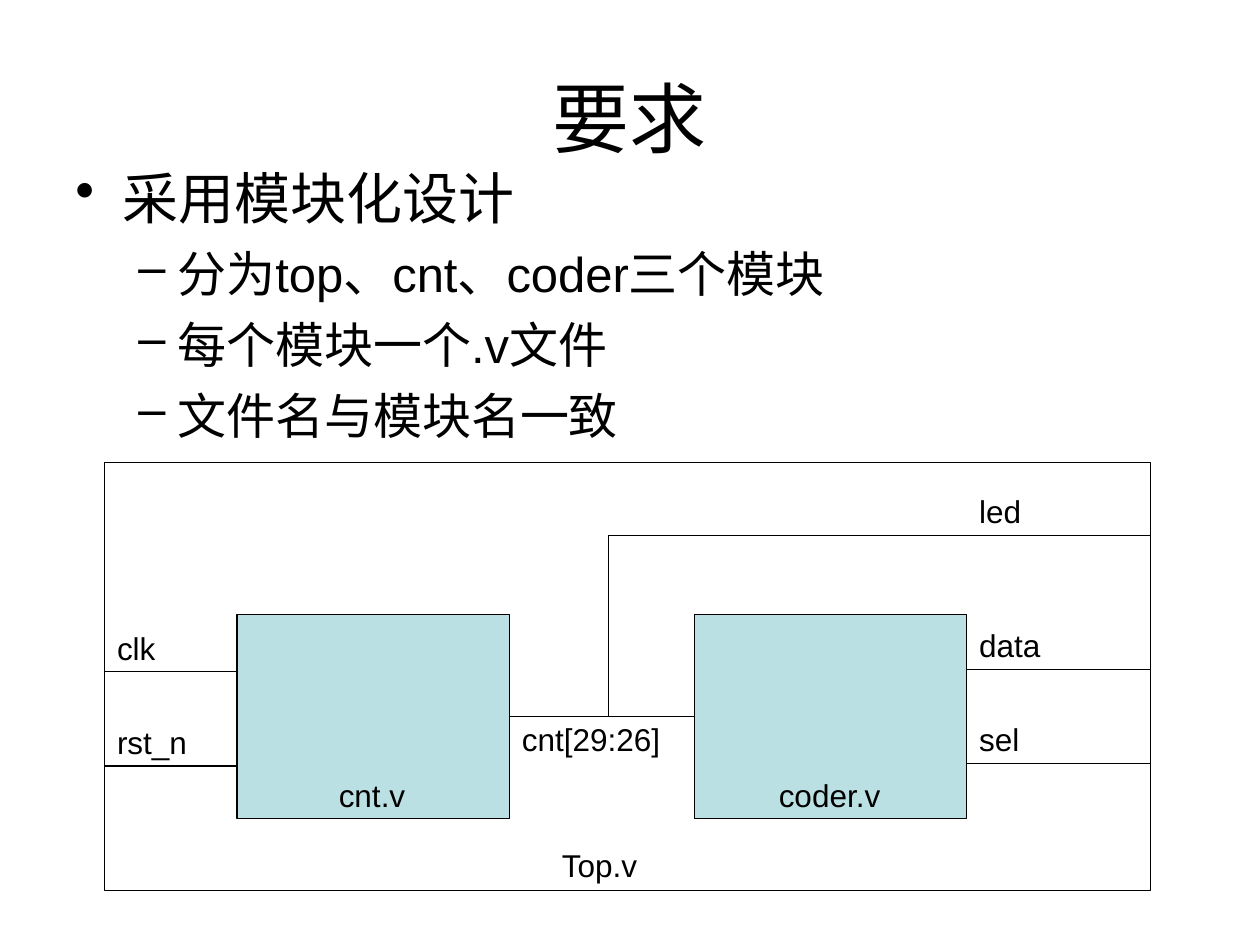
from lxml import etree
from pptx import Presentation
from pptx.dml.color import RGBColor
from pptx.enum.shapes import MSO_CONNECTOR, MSO_SHAPE
from pptx.enum.text import MSO_ANCHOR, PP_ALIGN
from pptx.oxml.ns import qn
from pptx.util import Cm, Pt

RECT = MSO_SHAPE.RECTANGLE
STRAIGHT = MSO_CONNECTOR.STRAIGHT
MIDDLE = MSO_ANCHOR.MIDDLE
LEFT, CENTER = PP_ALIGN.LEFT, PP_ALIGN.CENTER

BLACK = RGBColor(0x00, 0x00, 0x00)
PALE_TEAL = RGBColor(0xBB, 0xE0, 0xE3)

# Format of each outline level: bullet, margin and hanging indent in cm
LEVELS = [
    {"bullet": "•", "margin": 0.95, "hang": 0.95, "size": 32, "before": 8},
    {"bullet": "–", "margin": 2.06, "hang": 0.79, "size": 28, "before": 7},
]
OUTLINE = [
    (0, "采用模块化设计"),
    (1, "分为top、cnt、coder三个模块"),
    (1, "每个模块一个.v文件"),
    (1, "文件名与模块名一致"),
]


def add_text_frame(s, x, y, w, h, wrap=True):
    tf = s.shapes.add_textbox(Cm(x), Cm(y), Cm(w), Cm(h)).text_frame
    tf.word_wrap = wrap
    return tf


def write(p, text, size, align=LEFT):
    p.alignment = align
    r = p.add_run()
    r.text = text
    for name, value in {"name": "Arial", "size": Pt(size)}.items():
        setattr(r.font, name, value)
    r.font.color.rgb = BLACK


def add_label(s, x, y, w, text, wrap=True):
    tf = add_text_frame(s, x, y, w, 1.02, wrap)
    write(tf.paragraphs[0], text, 18)


def add_box(s, x, y, w, h, fill=None):
    sp = s.shapes.add_shape(RECT, Cm(x), Cm(y), Cm(w), Cm(h))
    sp.shadow.inherit = False
    if fill is None:
        sp.fill.background()
    else:
        sp.fill.solid()
        sp.fill.fore_color.rgb = fill
    sp.line.color.rgb = BLACK
    sp.line.width = Pt(0.75)


def add_wire(s, x1, y1, x2, y2):
    wire = s.shapes.add_connector(STRAIGHT, Cm(x1), Cm(y1), Cm(x2), Cm(y2))
    wire.line.color.rgb = BLACK
    wire.line.width = Pt(0.75)
    etree.SubElement(wire._element.spPr, qn("a:effectLst"))


def add_title(s, x, y, w, h):
    tf = add_text_frame(s, x, y, w, h)
    tf.vertical_anchor = MIDDLE
    write(tf.paragraphs[0], "要求", 44, CENTER)


def add_outline(s, x, y, w, h):
    tf = add_text_frame(s, x, y, w, h)
    for i, (level, text) in enumerate(OUTLINE):
        fmt = LEVELS[level]
        p = tf.add_paragraph() if i else tf.paragraphs[0]
        p.level = level
        pPr = p._p.get_or_add_pPr()
        pPr.set("marL", str(Cm(fmt["margin"])))
        pPr.set("indent", str(-Cm(fmt["hang"])))
        etree.SubElement(pPr, qn("a:buChar"), char=fmt["bullet"])
        if i:
            p.space_before = Pt(fmt["before"])
        write(p, text, fmt["size"])


def add_block_diagram(s, x, y, w, h):
    mod_w, mod_h, mod_y = 5.49, 4.11, y + 3.07
    cnt_x, coder_x = x + 2.67, x + 11.89
    cnt_right, coder_right = cnt_x + mod_w, coder_x + mod_w
    right = x + w
    bus_y, tap_x, led_y = y + 5.13, x + 10.16, y + 1.47

    # Submodules, each with its file name near the lower edge
    for mod_x, indent, label_w, name in [(cnt_x, 1.8, 1.85, "cnt.v"),
                                         (coder_x, 1.45, 3, "coder.v")]:
        add_box(s, mod_x, mod_y, mod_w, mod_h, PALE_TEAL)
        add_label(s, mod_x + indent, mod_y + 3.12, label_w, name)

    # Top module
    add_box(s, x, y, w, h)
    add_label(s, x + 8.97, y + 7.62, 2.08, "Top.v", wrap=False)

    # Counter bus and its tap up to the led output
    add_wire(s, cnt_right, bus_y, coder_x, bus_y)
    add_wire(s, tap_x, bus_y, tap_x, led_y)
    add_label(s, cnt_right, bus_y - 0.05, coder_x - cnt_right, "cnt[29:26]")

    # Ports: wire start, label start, wire end, height, signal
    for start, label_x, end, dy, signal in [
        (x, x, cnt_x, 4.22, "clk"),
        (x, x, cnt_x, 6.12, "rst_n"),
        (tap_x, coder_right, right, 1.47, "led"),
        (coder_right, coder_right, right, 4.17, "data"),
        (coder_right, coder_right, right, 6.07, "sel"),
    ]:
        add_wire(s, start, y + dy, end, y + dy)
        add_label(s, label_x, y + dy - 0.99, end - label_x, signal)


def main():
    prs = Presentation()
    prs.slide_width, prs.slide_height = Cm(25.4), Cm(19.05)
    s = prs.slides.add_slide(prs.slide_layouts[6])
    add_title(s, 1.27, 0.76, 22.86, 3.18)
    add_outline(s, 1.27, 3.18, 22.86, 13.84)
    add_block_diagram(s, 2.11, 9.32, 21.08, 8.64)
    prs.save("out.pptx")


if __name__ == "__main__":
    main()
